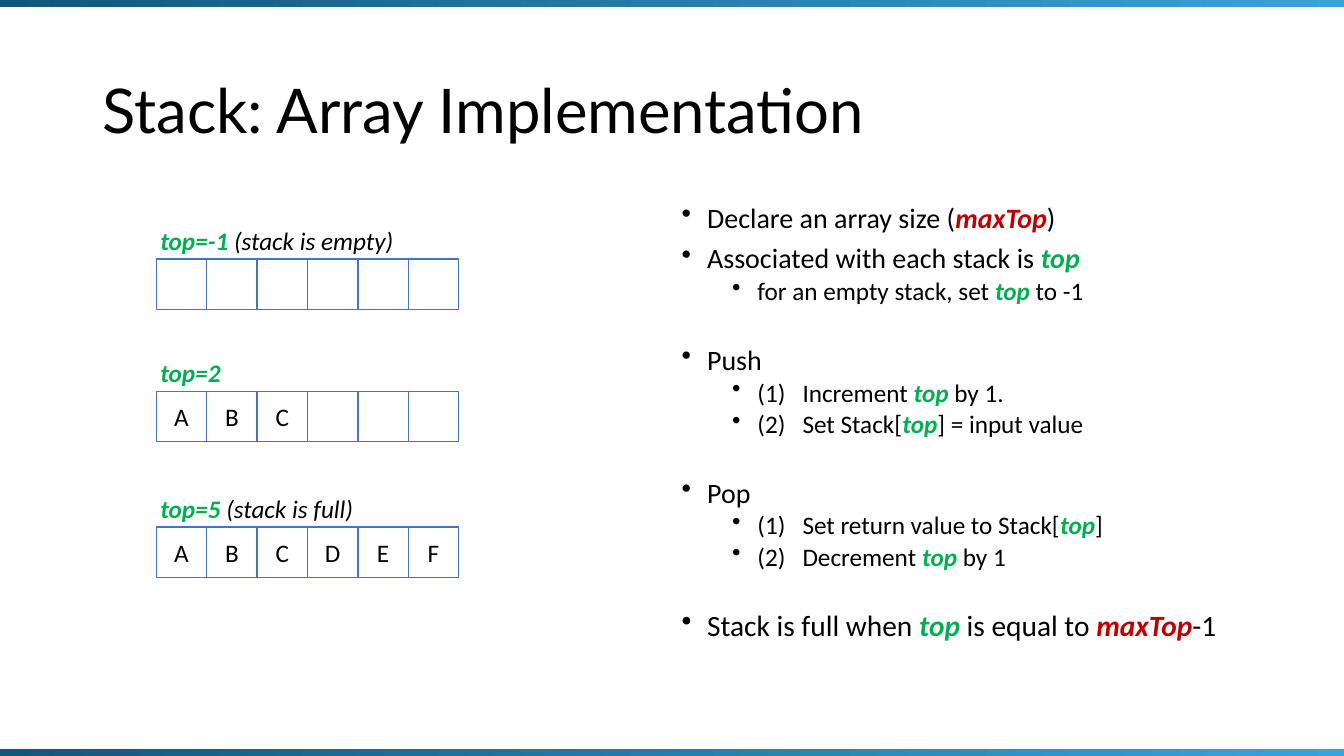
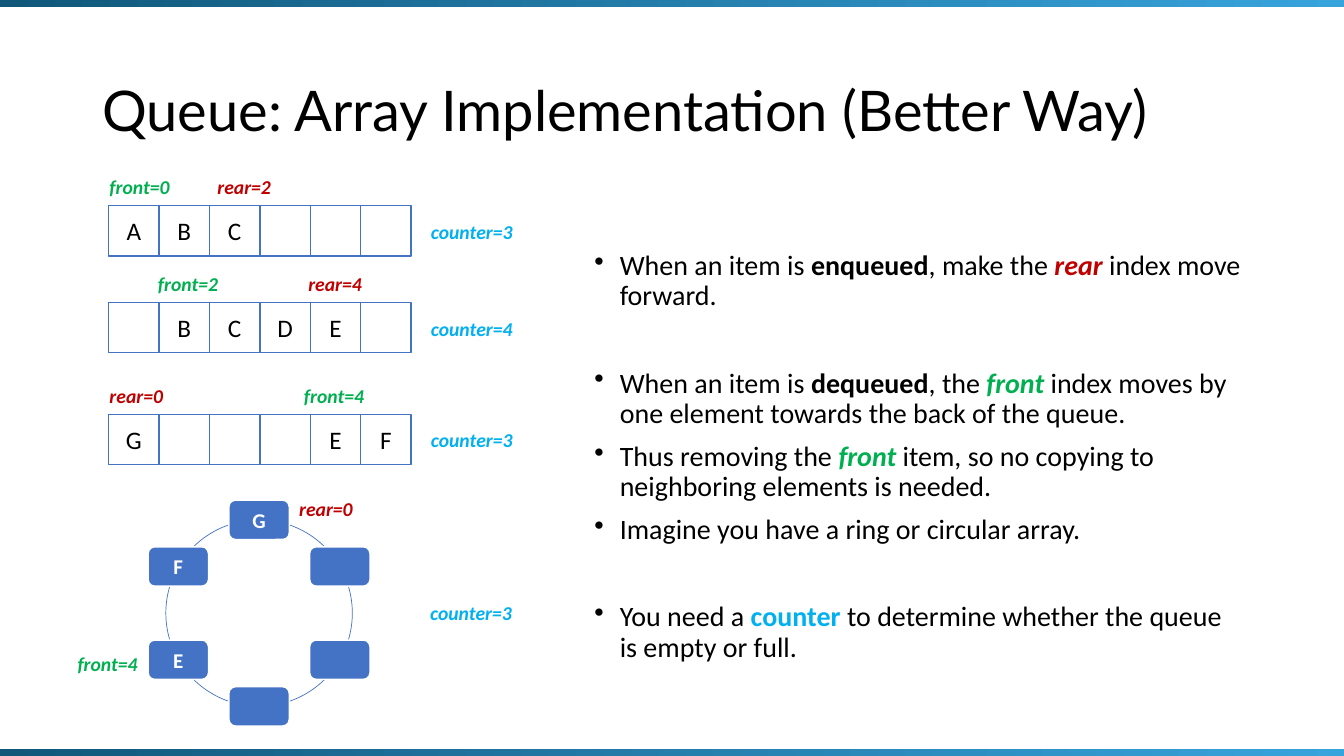
import math
from dataclasses import dataclass

import pptx
import pptx.dml.color
import pptx.enum.shapes
import pptx.enum.text
import pptx.oxml.ns
import pptx.util
from lxml import etree

Cm = pptx.util.Cm
Pt = pptx.util.Pt
SHAPES = pptx.enum.shapes.MSO_SHAPE
ANCHOR = pptx.enum.text.MSO_ANCHOR
ALIGN = pptx.enum.text.PP_ALIGN


def rgb(value):
    return pptx.dml.color.RGBColor.from_string(value)


@dataclass(frozen=True)
class Theme:
    title_font: str = "Lato"
    body_font: str = "Calibri"
    black: str = "000000"
    white: str = "FFFFFF"
    blue: str = "4472C4"
    green: str = "00B050"
    red: str = "C00000"
    cyan: str = "00B0F0"
    band_start: str = "10577A"
    band_end: str = "38A4DC"
    body_size: int = 20
    detail_size: int = 18
    node_size: int = 15
    label_size: int = 14


@dataclass(frozen=True)
class Box:
    """A region of the slide, in centimetres."""
    left: float
    top: float
    width: float
    height: float

    def lengths(self):
        return Cm(self.left), Cm(self.top), Cm(self.width), Cm(self.height)


@dataclass(frozen=True)
class Bullet:
    text: str
    level: int = 0
    before: float = 10
    size: int = 0


THEME = Theme()
SLIDE = Box(0, 0, 33.87, 19.05)
TITLE = Box(2.33, 1.02, 29.21, 3.68)
BAND_HEIGHT = 0.18
CELL = 1.27

# Keyword: colour, bold, italic (None keeps the paragraph's setting)
EMPHASIS = {
    "top": (THEME.green, True, True),
    "front": (THEME.green, True, True),
    "maxTop": (THEME.red, True, True),
    "rear": (THEME.red, True, True),
    "counter": (THEME.cyan, True, None),
    "enqueued": (THEME.black, True, None),
    "dequeued": (THEME.black, True, None),
}
LABEL_WIDTHS = {"front": 2.03, "rear": 1.88, "counter": 2.59}


# Text
def style_paragraph(paragraph, size, color=THEME.black, font=THEME.body_font):
    paragraph.font.name = font
    paragraph.font.size = Pt(size)
    paragraph.font.color.rgb = rgb(color)


def write_runs(paragraph, text):
    """Text between bars is a keyword, optionally followed by '=value'."""
    for index, piece in enumerate(text.split("|")):
        if not piece:
            continue
        run = paragraph.add_run()
        run.text = piece
        if index % 2:
            color, bold, italic = EMPHASIS[piece.split("=")[0]]
            run.font.color.rgb = rgb(color)
            run.font.bold = bold
            run.font.italic = italic


def add_text_box(slide, box, wrap=True):
    frame = slide.shapes.add_textbox(*box.lengths()).text_frame
    frame.word_wrap = wrap
    return frame


def add_label(slide, left, top, text, width, height=0.86, size=THEME.label_size):
    frame = add_text_box(slide, Box(left, top, width, height), wrap=False)
    paragraph = frame.paragraphs[0]
    style_paragraph(paragraph, size)
    paragraph.font.italic = True
    write_runs(paragraph, text)


def add_index_label(slide, left, top, text):
    add_label(slide, left, top, f"|{text}|", LABEL_WIDTHS[text.split("=")[0]])


def add_bullets(slide, box, bullets, line_spacing):
    frame = add_text_box(slide, box)
    for index, bullet in enumerate(bullets):
        paragraph = frame.add_paragraph() if index else frame.paragraphs[0]
        default = THEME.detail_size if bullet.level else THEME.body_size
        style_paragraph(paragraph, bullet.size or default)
        paragraph.level = bullet.level
        paragraph.line_spacing = line_spacing
        paragraph.space_before = Pt(bullet.before if index else 0)
        properties = paragraph._p.get_or_add_pPr()
        properties.set("marL", str(Cm(0.64 + 1.27 * bullet.level)))
        properties.set("indent", str(Cm(-0.64)))
        mark = etree.Element(pptx.oxml.ns.qn("a:buChar"), char="•")
        properties.find(pptx.oxml.ns.qn("a:defRPr")).addprevious(mark)
        write_runs(paragraph, bullet.text)


# Shapes
def add_block(slide, kind, box, fill=None, line=None, weight=1):
    shape = slide.shapes.add_shape(kind, *box.lengths())
    shape.shadow.inherit = False
    if fill:
        shape.fill.solid()
        shape.fill.fore_color.rgb = rgb(fill)
    else:
        shape.fill.background()
    if line:
        shape.line.color.rgb = rgb(line)
        shape.line.width = Pt(weight)
    else:
        shape.line.fill.background()
    return shape


def write_centred(shape, text, size, color, bold=False):
    frame = shape.text_frame
    frame.vertical_anchor = ANCHOR.MIDDLE
    frame.margin_left = frame.margin_right = Cm(0.15)
    frame.margin_top = frame.margin_bottom = Cm(0.15)
    paragraph = frame.paragraphs[0]
    paragraph.text = text
    paragraph.alignment = ALIGN.CENTER
    style_paragraph(paragraph, size, color)
    paragraph.font.bold = bold


def add_array(slide, left, top, items):
    """A row of square cells; a space in items is an empty cell."""
    for index, item in enumerate(items):
        box = Box(left + index * CELL, top, CELL, CELL)
        cell = add_block(slide, SHAPES.RECTANGLE, box, THEME.white, THEME.blue)
        if item.strip():
            write_centred(cell, item, THEME.detail_size, THEME.black)


def add_ring(slide, box, items):
    """Nodes on a circle, clockwise from the top; returns their boxes."""
    add_block(slide, SHAPES.OVAL, box, line=THEME.blue, weight=0.5)
    radius = box.width / 2
    width, height = 1.52, 0.99
    nodes = []
    for index, item in enumerate(items):
        angle = 2 * math.pi * index / len(items)
        node = Box(box.left + radius * (1 + math.sin(angle)) - width / 2,
                   box.top + radius * (1 - math.cos(angle)) - height / 2,
                   width, height)
        shape = add_block(slide, SHAPES.ROUNDED_RECTANGLE, node, THEME.blue, THEME.white)
        if item.strip():
            write_centred(shape, item, THEME.node_size, THEME.white, bold=True)
        nodes.append(node)
    return nodes


# Shared frame: title and the two gradient bands
def add_base_slide(presentation, title, title_size):
    slide = presentation.slides.add_slide(presentation.slide_layouts[6])
    frame = add_text_box(slide, TITLE)
    frame.vertical_anchor = ANCHOR.MIDDLE
    paragraph = frame.paragraphs[0]
    paragraph.text = title
    paragraph.line_spacing = 0.9
    style_paragraph(paragraph, title_size, font=THEME.title_font)
    for top in (0, SLIDE.height - BAND_HEIGHT):
        band = add_block(slide, SHAPES.RECTANGLE, Box(0, top, SLIDE.width, BAND_HEIGHT))
        band.fill.gradient()
        band.fill.gradient_angle = 0
        for stop, color in zip(band.fill.gradient_stops, (THEME.band_start, THEME.band_end)):
            stop.color.rgb = rgb(color)
    return slide


# Stack slide
def add_stack_states(slide, box):
    states = [
        (0, "      ", "|top=-1| (stack is empty)", 6.55),
        (3.33, "ABC   ", "|top=2|", 2.06),
        (6.75, "ABCDEF", "|top=5| (stack is full)", 5.54),
    ]
    for offset, items, label, width in states:
        top = box.top + offset
        add_array(slide, box.left, top, items)
        add_label(slide, box.left - 0.15, top - 0.97, label, width, 1.02, THEME.detail_size)


def build_stack_slide(presentation):
    slide = add_base_slide(presentation, "Stack: Array Implementation", 44)
    add_bullets(slide, Box(16.93, 5.08, 14.61, 12.09), [
        Bullet("Declare an array size (|maxTop|)"),
        Bullet("Associated with each stack is |top|"),
        Bullet("for an empty stack, set |top| to -1", 1, 5),
        Bullet("Push", before=31),
        Bullet("(1)\u00a0\u00a0 Increment |top| by 1.", 1, 5),
        Bullet("(2)\u00a0\u00a0 Set Stack[|top|] = input value", 1, 5),
        Bullet("Pop", before=31),
        Bullet("(1)\u00a0\u00a0 Set return value to Stack[|top|]", 1, 5),
        Bullet("(2)\u00a0\u00a0 Decrement |top| by 1", 1, 5),
        Bullet("Stack is full when |top| is equal to |maxTop|-1", before=31, size=21),
    ], 0.8)
    add_stack_states(slide, Box(3.94, 6.53, 6 * CELL, 8.02))


# Queue slide
def add_queue_states(slide, box):
    states = [
        (0, "ABC   ", [(-0.23, "front=0"), (2.49, "rear=2")], "counter=3"),
        (2.44, " BCDE ", [(0.99, "front=2"), (4.78, "rear=4")], "counter=4"),
        (5.26, "G   EF", [(-0.23, "rear=0"), (4.67, "front=4")], "counter=3"),
    ]
    for offset, items, labels, counter in states:
        top = box.top + offset
        add_array(slide, box.left, top, items)
        for shift, label in labels:
            add_index_label(slide, box.left + shift, top - 0.89, label)
        add_index_label(slide, box.left + box.width + 0.25, top + 0.23, counter)


def add_queue_ring(slide, box):
    nodes = add_ring(slide, box, "G   EF")
    rear, front = nodes[0], nodes[4]
    add_index_label(slide, rear.left + rear.width, rear.top - 0.2, "rear=0")
    add_index_label(slide, front.left - LABEL_WIDTHS["front"], front.top + 0.18, "front=4")
    add_index_label(slide, box.left + box.width + 1.71, box.top + 1.91, "counter=3")


def build_queue_slide(presentation):
    slide = add_base_slide(presentation, "Queue: Array Implementation (Better Way)", 40)
    add_bullets(slide, Box(14.73, 6.2, 16.79, 10.97), [
        Bullet("When an item is |enqueued|, make the |rear| index move forward."),
        Bullet("When an item is |dequeued|, the |front| index moves by one element "
               "towards the back of the queue.", before=41),
        Bullet("Thus removing the |front| item, so no copying to neighboring "
               "elements is needed.", before=9),
        Bullet("Imagine you have a ring or circular array.", before=9),
        Bullet("You need a |counter| to determine whether the queue is empty or full.",
               before=41),
    ], 0.9)
    add_queue_states(slide, Box(2.74, 5.18, 6 * CELL, 6.53))
    add_queue_ring(slide, Box(4.18, 13.1, 4.7, 4.7))


def main():
    presentation = pptx.Presentation()
    presentation.slide_width = Cm(SLIDE.width)
    presentation.slide_height = Cm(SLIDE.height)
    build_stack_slide(presentation)
    build_queue_slide(presentation)
    presentation.save("out.pptx")


main()
